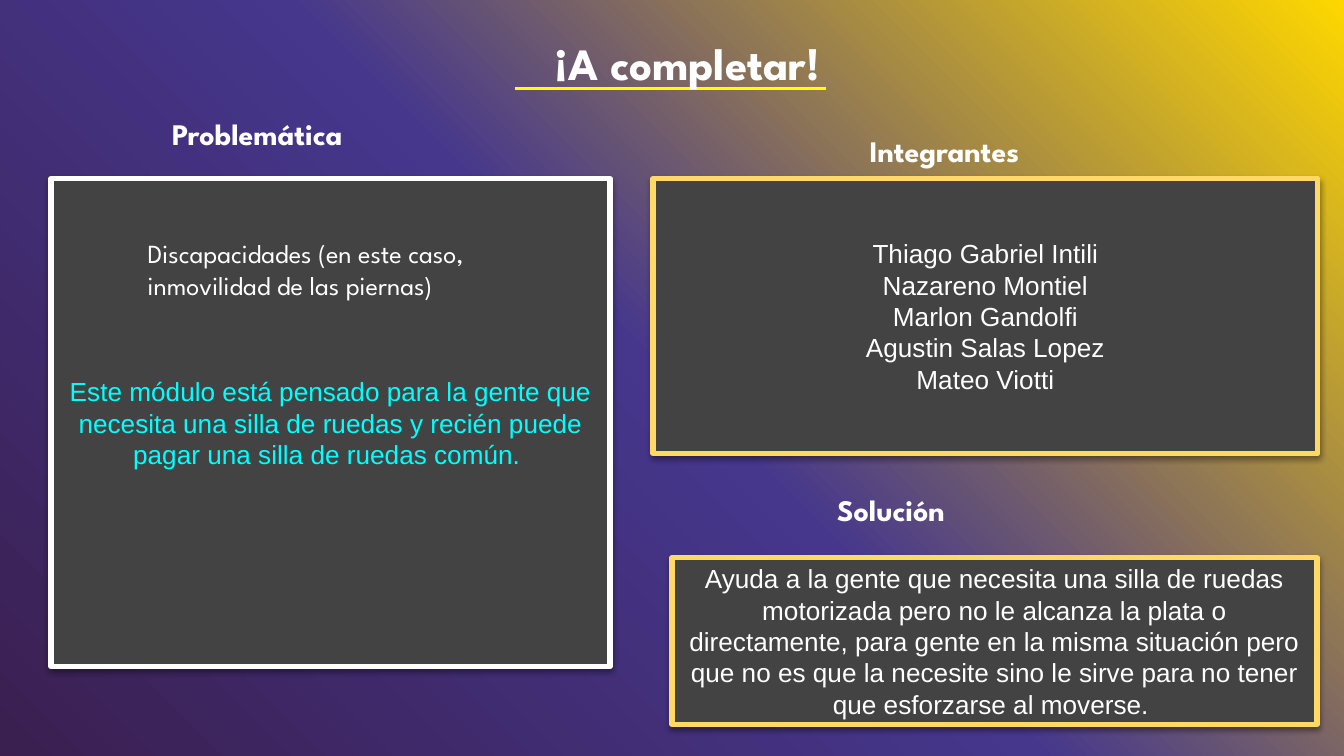
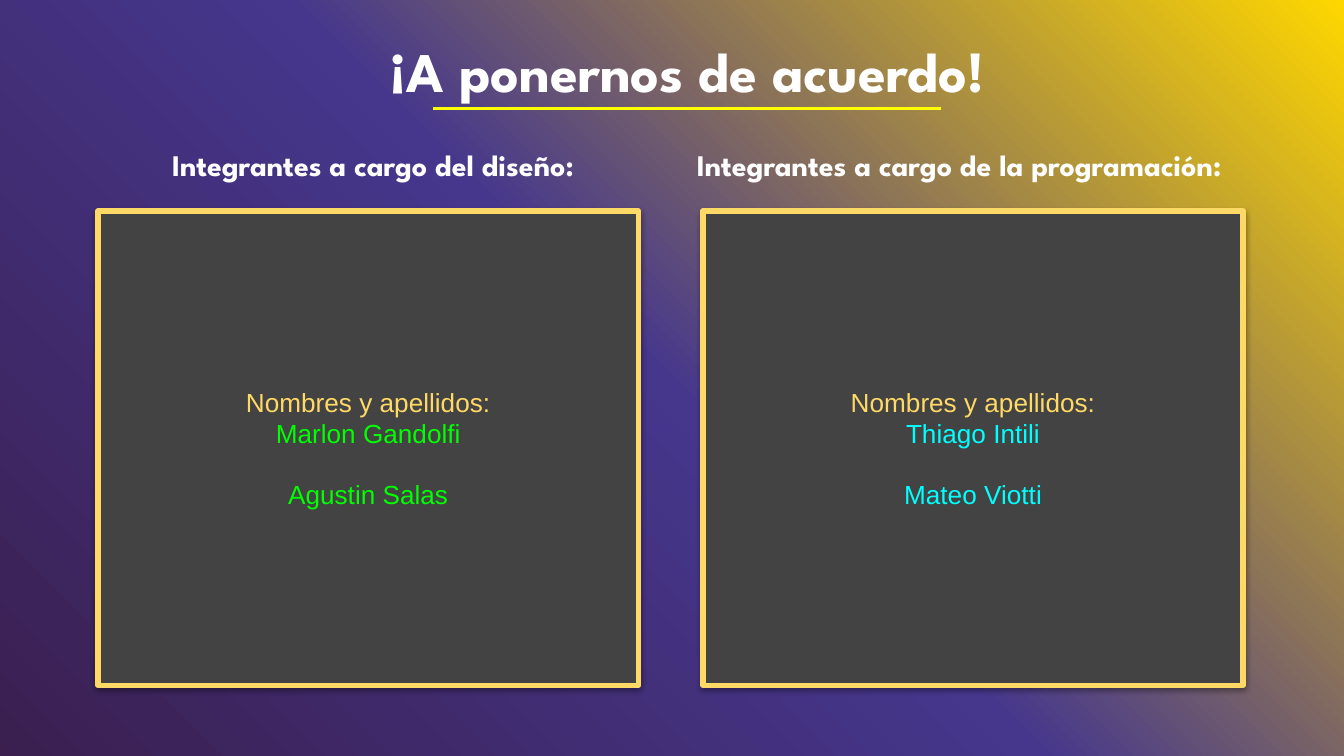
import copy
from dataclasses import dataclass

import lxml.etree
import pptx
import pptx.dml.color
import pptx.enum.shapes
import pptx.enum.text
import pptx.oxml.ns
import pptx.slide
import pptx.text.text
import pptx.util

PX = 4572  # EMU; 200 px to the inch
SLIDE_WIDTH, SLIDE_HEIGHT = 2000, 1125
ALIGN = pptx.enum.text.PP_ALIGN
RECTANGLE = pptx.enum.shapes.MSO_SHAPE.RECTANGLE
qn = pptx.oxml.ns.qn


@dataclass(frozen=True)
class Theme:
    paper: str = "F3F3F3"
    backdrop: tuple[str, ...] = ("3A1F4F", "46378D", "FED700")
    white: str = "FFFFFF"
    gold: str = "FFD966"
    yellow: str = "FFFF00"
    cyan: str = "00FFFF"
    green: str = "00FF00"
    panel: str = "434343"
    shadow: str = "000000"
    heading_font: str = "League Spartan"
    body_font: str = "Arial"
    body_size: int = 14
    label_size: int = 16
    panel_border: float = 3
    underline: float = 1.5


THEME = Theme()


@dataclass(frozen=True)
class Box:
    left: int
    top: int
    width: int
    height: int

    def emu(self) -> tuple[int, int, int, int]:
        return self.left * PX, self.top * PX, self.width * PX, self.height * PX


@dataclass(frozen=True)
class Line:
    text: str
    color: str = THEME.white
    space_before: int = 0


@dataclass(frozen=True)
class Heading:
    box: Box
    text: str
    size: int = THEME.label_size
    bold: bool = True
    align: ALIGN | None = None
    inset: int = 14
    spaced: bool = True  # 1.15 line spacing with 9 pt after


@dataclass(frozen=True)
class Underline:
    left: int
    right: int
    y: int


@dataclass(frozen=True)
class Panel:
    box: Box
    lines: tuple[Line, ...]
    border: str = THEME.gold
    shadow_opacity: int = 38


@dataclass(frozen=True)
class Page:
    title: Heading
    underline: Underline
    panels: tuple[Panel, ...]
    headings: tuple[Heading, ...]


def rgb(value: str) -> pptx.dml.color.RGBColor:
    return pptx.dml.color.RGBColor.from_string(value)


def set_insets(frame: pptx.text.text.TextFrame, horizontal: int, vertical: int) -> None:
    frame.word_wrap = True
    frame.margin_left = frame.margin_right = horizontal * PX
    frame.margin_top = frame.margin_bottom = vertical * PX


def style_runs(paragraph, font: str, size: int, color: str, bold: bool = False) -> None:
    for run in paragraph.runs:
        run.font.name = font
        run.font.size = pptx.util.Pt(size)
        run.font.bold = bold
        run.font.color.rgb = rgb(color)


def draw_backdrop(slide: pptx.slide.Slide) -> None:
    """Cover the slide with the diagonal purple-to-yellow gradient."""
    slide.background.fill.solid()
    slide.background.fill.fore_color.rgb = rgb(THEME.paper)
    shape = slide.shapes.add_shape(RECTANGLE, *Box(-4, 0, 2004, 1146).emu())
    shape.rotation = 180
    shape.shadow.inherit = False
    shape.line.fill.background()
    shape.fill.gradient()
    shape.fill.gradient_angle = 225
    stop_list = shape._element.spPr.find(".//" + qn("a:gsLst"))
    stop_list.insert(1, copy.deepcopy(stop_list[0]))
    last = len(THEME.backdrop) - 1
    for index, stop in enumerate(shape.fill.gradient_stops):
        stop.position = index / last
        stop.color.rgb = rgb(THEME.backdrop[index])


def draw_underline(slide: pptx.slide.Slide, underline: Underline) -> None:
    y = underline.y * PX
    connector = slide.shapes.add_connector(
        pptx.enum.shapes.MSO_CONNECTOR.STRAIGHT,
        underline.left * PX, y, underline.right * PX, y)
    connector.line.color.rgb = rgb(THEME.yellow)
    connector.line.width = pptx.util.Pt(THEME.underline)
    lxml.etree.SubElement(connector._element.spPr, qn("a:effectLst"))


def draw_heading(slide: pptx.slide.Slide, heading: Heading) -> None:
    frame = slide.shapes.add_textbox(*heading.box.emu()).text_frame
    set_insets(frame, heading.inset, heading.inset)
    frame.auto_size = pptx.enum.text.MSO_AUTO_SIZE.SHAPE_TO_FIT_TEXT
    frame.text = heading.text
    paragraph = frame.paragraphs[0]
    paragraph.alignment = heading.align
    if heading.spaced:
        paragraph.line_spacing = 1.15
        paragraph.space_after = pptx.util.Pt(9)
    style_runs(paragraph, THEME.heading_font, heading.size, THEME.white, heading.bold)


def add_drop_shadow(shape, opacity: int) -> None:
    shape.shadow.inherit = False
    effects = shape._element.spPr.find(qn("a:effectLst"))
    shadow = lxml.etree.SubElement(
        effects, qn("a:outerShdw"), blurRad=str(pptx.util.Pt(3.1)),
        dist=str(pptx.util.Pt(1.6)), dir=str(90 * 60000), rotWithShape="0")
    color = lxml.etree.SubElement(shadow, qn("a:srgbClr"), val=THEME.shadow)
    lxml.etree.SubElement(color, qn("a:alpha"), val=str(opacity * 1000))


def draw_panel(slide: pptx.slide.Slide, panel: Panel) -> None:
    shape = slide.shapes.add_shape(RECTANGLE, *panel.box.emu())
    shape.fill.solid()
    shape.fill.fore_color.rgb = rgb(THEME.panel)
    shape.line.color.rgb = rgb(panel.border)
    shape.line.width = pptx.util.Pt(THEME.panel_border)
    add_drop_shadow(shape, panel.shadow_opacity)
    frame = shape.text_frame
    set_insets(frame, 20, 10)
    frame.vertical_anchor = pptx.enum.text.MSO_ANCHOR.MIDDLE
    frame.text = "\n".join(line.text for line in panel.lines)
    for paragraph, line in zip(frame.paragraphs, panel.lines):
        paragraph.alignment = ALIGN.CENTER
        if line.space_before:
            paragraph.space_before = pptx.util.Pt(line.space_before)
        style_runs(paragraph, THEME.body_font, THEME.body_size, line.color)


def team_panel(left: int, first: str, second: str, color: str) -> Panel:
    lines = (Line("Nombres y apellidos:", THEME.gold),
             Line(first, color), Line(second, color, space_before=16))
    return Panel(Box(left, 314, 804, 706), lines, shadow_opacity=37)


def draw_page(deck, page: Page) -> None:
    slide = deck.slides.add_slide(deck.slide_layouts[6])
    draw_backdrop(slide)
    draw_underline(slide, page.underline)
    draw_heading(slide, page.title)
    for panel in page.panels:
        draw_panel(slide, panel)
    for heading in page.headings:
        draw_heading(slide, heading)


MEMBERS = ("Thiago Gabriel Intili", "Nazareno Montiel", "Marlon Gandolfi",
           "Agustin Salas Lopez", "Mateo Viotti")

PROJECT = Page(
    title=Heading(Box(264, 27, 1518, 112), "¡A completar!", 24, align=ALIGN.CENTER),
    underline=Underline(766, 1229, 132),
    panels=(
        Panel(Box(76, 266, 832, 726), (Line(
            "Este módulo está pensado para la gente que necesita una silla de ruedas "
            "y recién puede pagar una silla de ruedas común. ", THEME.cyan),),
            border=THEME.white),
        Panel(Box(972, 266, 989, 409), tuple(Line(name) for name in MEMBERS)),
        Panel(Box(1000, 830, 960, 248), (Line(
            "Ayuda a la gente que necesita una silla de ruedas motorizada pero no le "
            "alcanza la plata o directamente, para gente en la misma situación pero "
            "que no es que la necesite sino le sirve para no tener que esforzarse al "
            "moverse. "),)),
    ),
    headings=(
        Heading(Box(242, 150, 604, 84), "Problemática"),
        Heading(Box(1280, 175, 432, 84), "Integrantes"),
        Heading(Box(200, 334, 584, 134),
                "Discapacidades (en este caso, inmovilidad de las piernas)",
                THEME.body_size, bold=False, inset=20, spaced=False),
        Heading(Box(1226, 712, 480, 94), "Solución", inset=20, spaced=False),
    ),
)

TEAMS = Page(
    title=Heading(Box(264, 25, 1518, 172), "¡A ponernos de acuerdo!", 30,
                  align=ALIGN.CENTER),
    underline=Underline(644, 1401, 162),
    panels=(
        team_panel(146, "Marlon Gandolfi", "Agustin Salas", THEME.green),
        team_panel(1046, "Thiago Intili", "Mateo Viotti", THEME.cyan),
    ),
    headings=(
        Heading(Box(242, 196, 804, 118), "Integrantes a cargo del diseño:"),
        Heading(Box(1023, 196, 908, 118), "Integrantes a cargo de la programación:"),
    ),
)


def main() -> None:
    deck = pptx.Presentation()
    deck.slide_width, deck.slide_height = SLIDE_WIDTH * PX, SLIDE_HEIGHT * PX
    for page in (PROJECT, TEAMS):
        draw_page(deck, page)
    deck.save("out.pptx")


if __name__ == "__main__":
    main()
